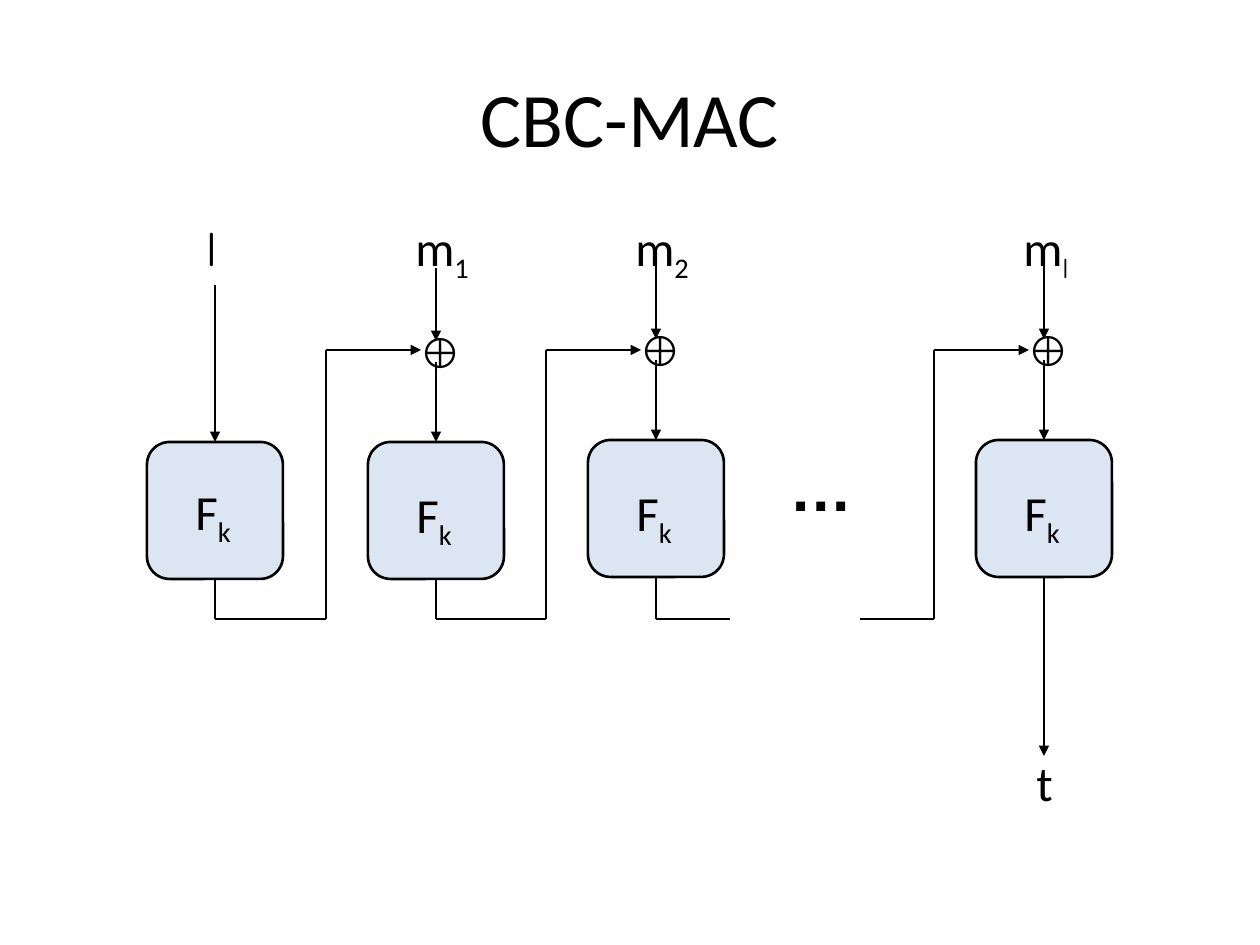
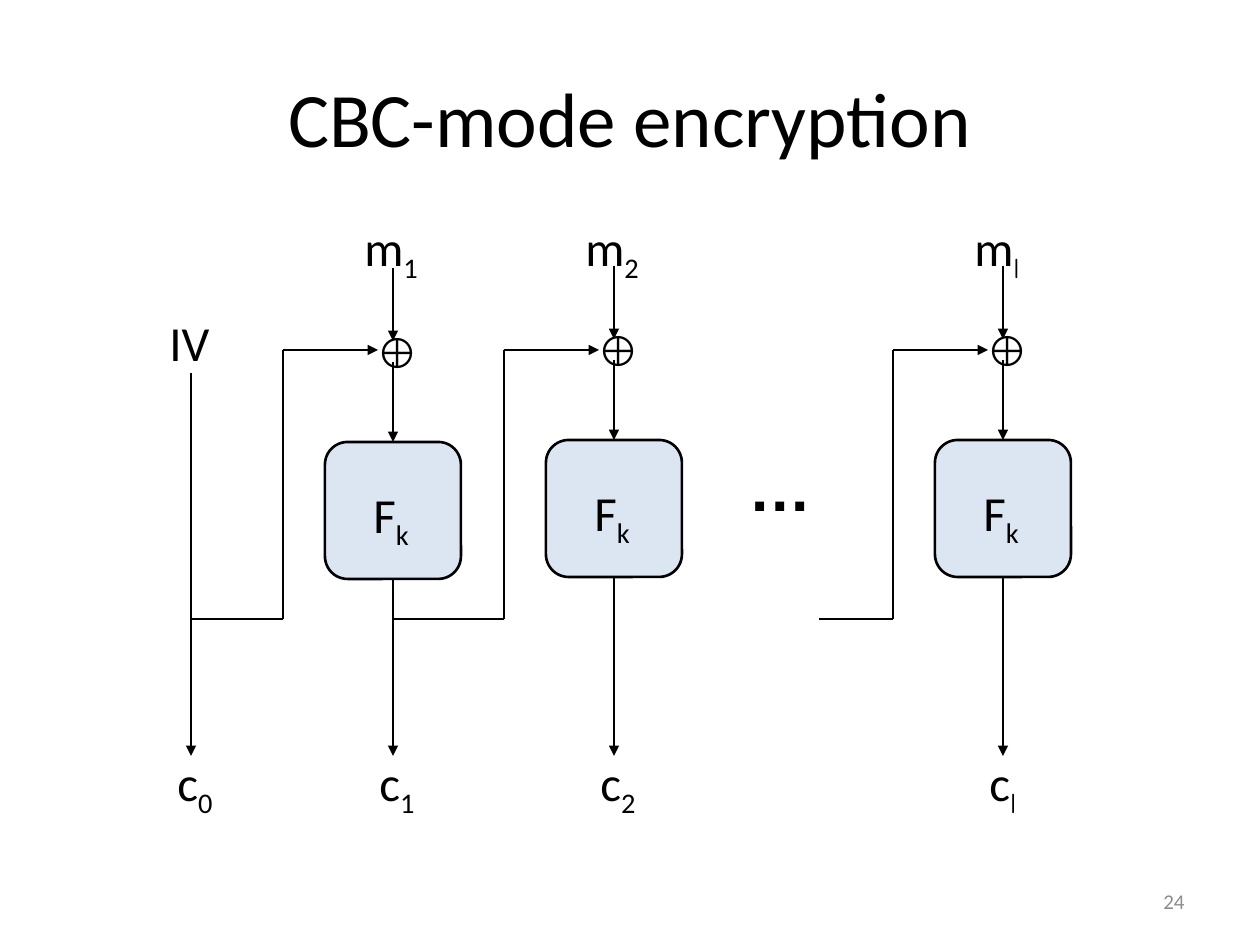
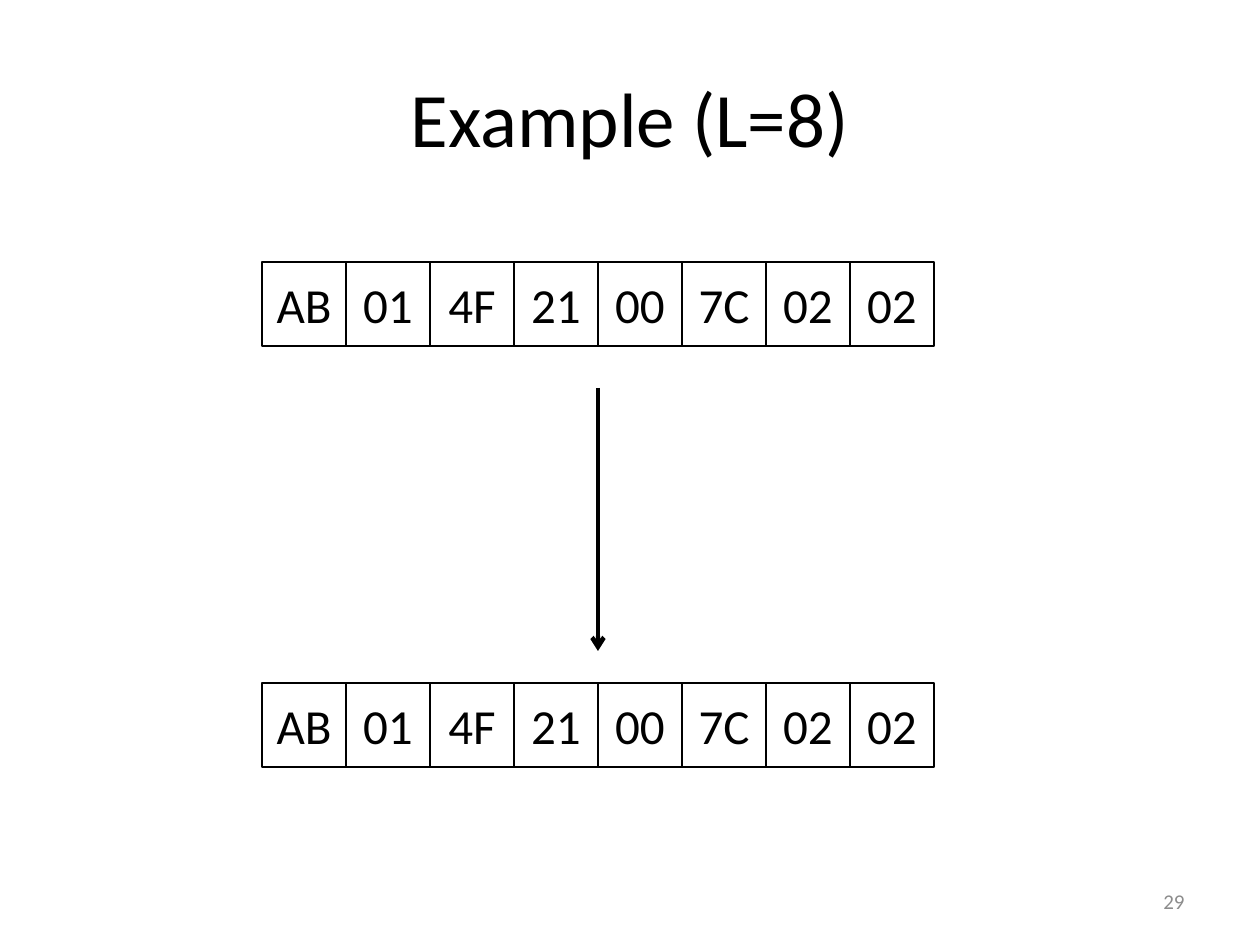
from dataclasses import dataclass

from lxml.etree import SubElement
from pptx import Presentation
from pptx.dml.color import RGBColor
from pptx.enum.shapes import MSO_CONNECTOR as CONN, MSO_SHAPE as SHAPE
from pptx.enum.text import MSO_ANCHOR as ANCHOR, MSO_AUTO_SIZE as AUTO, PP_ALIGN as ALIGN
from pptx.oxml.ns import qn
from pptx.util import Inches, Pt


@dataclass(frozen=True)
class Theme:
    ink: RGBColor = RGBColor(0, 0, 0)
    box: RGBColor = RGBColor(0xDC, 0xE6, 0xF2)
    muted: RGBColor = RGBColor(0x8C, 0x8C, 0x8C)
    body: str = "Calibri"
    symbol: str = "Arial"
    script: str = "Comic Neue"
    title_size: int = 44
    label_size: int = 28
    xor_size: int = 24
    dots_size: int = 36
    page_size: int = 12
    line: float = 1.5
    thick: float = 2.5


T = Theme()
PX = 7257
BOX_W, BOX_H = 136, 137
RAIL_Y, FEED_Y, OUT_Y = 619, 350, 756
FEED_DX = 110
LABEL_H = 72
LABEL_W = {"F": 63, "m": 82, "c": 63, "IV": 66, "t": 42, "l": 42, "⊕": 58, "…": 89}
CELL = 84
PAGE_BOX = (903, 876, 294, 50)


def add_label(s, x, y, base, sub="", size=T.label_size, font=T.body, bold=False):
    width = LABEL_W[base] - (6 if sub == "l" else 0)
    tf = s.shapes.add_textbox(x * PX, y * PX, width * PX, LABEL_H * PX).text_frame
    tf.word_wrap = False
    tf.auto_size = AUTO.SHAPE_TO_FIT_TEXT
    for text, baseline in ((base, None), (sub, "-25000")):
        if not text:
            continue
        r = tf.paragraphs[0].add_run()
        r.text = text
        name = T.script if text == "l" else font
        for key, value in {"size": Pt(size), "name": name, "bold": bold}.items():
            setattr(r.font, key, value)
        r.font.color.rgb = T.ink
        if baseline:
            r._r.get_or_add_rPr().set("baseline", baseline)


def add_line(s, x1, y1, x2, y2, tip=None, width=T.line):
    line = s.shapes.add_connector(CONN.STRAIGHT, x1 * PX, y1 * PX, x2 * PX, y2 * PX)
    line.line.color.rgb = T.ink
    line.line.width = Pt(width)
    if tip:
        SubElement(line.line._get_or_add_ln(), qn("a:tailEnd"), type=tip)
    SubElement(line._element.spPr, qn("a:effectLst"))
    return line


prs = Presentation()
prs.slide_width, prs.slide_height = Inches(10), Inches(7.5)

slides = []
for title, page in (("CBC-MAC", None), ("CBC-mode encryption", "24"), ("Example (L=8)", "29")):
    s = prs.slides.add_slide(prs.slide_layouts[5])
    slides.append(s)
    sp = s.shapes.title
    for key, value in {"left": 63, "top": 38, "width": 1134, "height": 158}.items():
        setattr(sp, key, value * PX)
    texts = [(sp, title, ALIGN.CENTER, T.title_size, T.ink)]
    if page:
        page_box = s.shapes.add_textbox(*(v * PX for v in PAGE_BOX))
        texts.append((page_box, page, ALIGN.RIGHT, T.page_size, T.muted))
    for sp, text, align, size, color in texts:
        tf = sp.text_frame
        tf.word_wrap = True
        tf.vertical_anchor = ANCHOR.MIDDLE
        p = tf.paragraphs[0]
        p.text = text
        p.alignment = align
        p.font.size, p.font.name = Pt(size), T.body
        p.font.color.rgb = color

mac, cbc, example = slides

# fields: centre x, top, message, message offset, feed start x, output end y, output
diagrams = (
    (mac, (
        (215, 442, ("l",), 21, None, RAIL_Y, None),
        (436, 442, ("m", "1"), 33, 215, RAIL_Y, None),
        (656, 440, ("m", "2"), 33, 436, RAIL_Y, None),
        (1044, 440, ("m", "l"), 33, 860, OUT_Y, ("t",)),
    )),
    (cbc, (
        (393, 442, ("m", "1"), 41, 191, OUT_Y, ("c", "1")),
        (614, 440, ("m", "2"), 41, 393, OUT_Y, ("c", "2")),
        (1003, 440, ("m", "l"), 41, 819, OUT_Y, ("c", "l")),
    )),
)

for s, blocks in diagrams:
    for cx, top, message, shift, feed_x, end_y, output in blocks:
        box = s.shapes.add_shape(SHAPE.ROUNDED_RECTANGLE, (cx - BOX_W // 2) * PX, top * PX,
                                 BOX_W * PX, BOX_H * PX)
        box.shadow.inherit = False
        box.fill.solid()
        box.fill.fore_color.rgb = T.box
        box.line.color.rgb = T.ink
        box.line.width = Pt(T.line)
        add_label(s, cx - 32, top + (36 if feed_x else 33), "F", "k")
        add_label(s, cx - shift, 211, *message)

        entry_y = 285
        if feed_x:
            entry_y = top - 80
            add_line(s, cx, top - 174, cx, top - 101, "triangle")
            add_label(s, cx - 29, top - 122, "⊕", size=T.xor_size, font=T.symbol)
            turn_x = cx - FEED_DX
            add_line(s, feed_x, RAIL_Y, turn_x, RAIL_Y)
            add_line(s, turn_x, RAIL_Y, turn_x, FEED_Y)
            add_line(s, turn_x, FEED_Y, cx - 15, FEED_Y, "triangle")
        add_line(s, cx, entry_y, cx, top, "triangle").end_connect(box, 0)

        tip = "triangle" if output else None
        add_line(s, cx, top + BOX_H, cx, end_y, tip).begin_connect(box, 2)
        if output:
            add_label(s, cx - (20 if output == ("t",) else 26), 746, *output)
    add_label(s, blocks[-1][0] - 267, 442, "…", size=T.dots_size, font=T.symbol, bold=True)

add_line(mac, 656, RAIL_Y, 730, RAIL_Y)
add_label(cbc, 157, 306, "IV")
add_line(cbc, 191, 373, 191, OUT_Y, "triangle")
add_label(cbc, 165, 746, "c", "0")

for row_y in (262, 683):
    for i, byte in enumerate("AB 01 4F 21 00 7C 02 02".split()):
        cell = example.shapes.add_shape(SHAPE.RECTANGLE, (262 + i * CELL) * PX, row_y * PX,
                                        CELL * PX, CELL * PX)
        cell.shadow.inherit = False
        cell.fill.background()
        cell.line.color.rgb = T.ink
        cell.line.width = Pt(T.line)
        tf = cell.text_frame
        tf.word_wrap = False
        tf.vertical_anchor = ANCHOR.MIDDLE
        p = tf.paragraphs[0]
        p.text = byte
        p.alignment = ALIGN.CENTER
        p.font.size, p.font.name = Pt(T.label_size), T.body
        p.font.color.rgb = T.ink
add_line(example, 598, 388, 598, 651, "arrow", T.thick)

prs.save("out.pptx")
